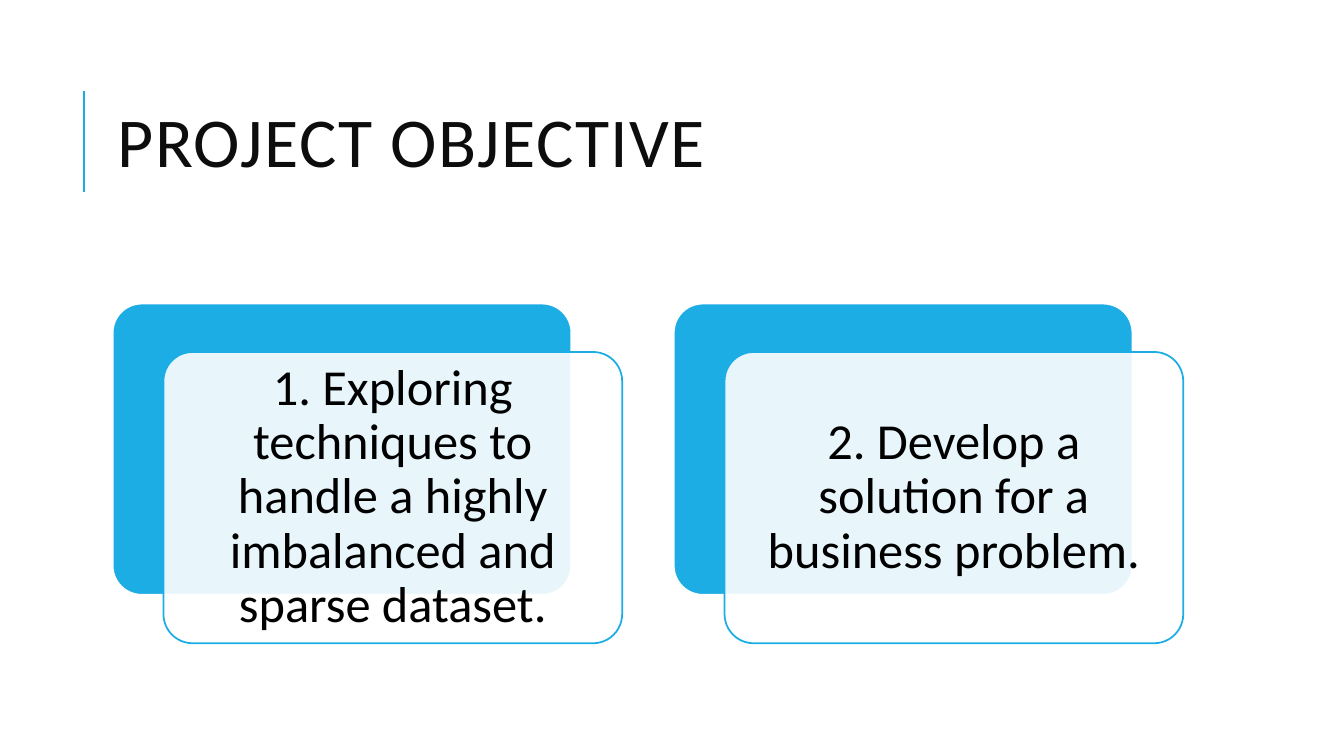
from lxml import etree
from pptx import Presentation
from pptx.dml.color import RGBColor
from pptx.enum.shapes import MSO_CONNECTOR as Connector, MSO_SHAPE as Shape
from pptx.enum.text import MSO_ANCHOR as Anchor, PP_ALIGN as Align
from pptx.oxml.ns import qn
from pptx.util import Cm, Pt

BLUE = RGBColor(0x1C, 0xAD, 0xE4)
WHITE = RGBColor(0xFF, 0xFF, 0xFF)
BLACK = RGBColor(0x00, 0x00, 0x00)
INK = RGBColor(0x0D, 0x0D, 0x0D)

OBJECTIVES = [
    "1. Exploring techniques to handle a highly imbalanced and sparse dataset.",
    "2. Develop a solution for a business problem.",
]
CARD_WIDTH, CARD_HEIGHT = 11.56, 7.34
SHIFT_RIGHT, SHIFT_DOWN = 1.28, 1.22
CARD_PITCH = 14.14


def apply_format(target, values):
    for name, value in values.items():
        setattr(target, name, value)


def write_text(shape, text, frame_format, para_format, font_format, color):
    frame = shape.text_frame
    apply_format(frame, {"word_wrap": True, "vertical_anchor": Anchor.MIDDLE, **frame_format})
    para = frame.paragraphs[0]
    apply_format(para, para_format)
    span = para.add_run()
    span.text = text
    apply_format(span.font, {"name": "Calibri", **font_format})
    span.font.color.rgb = color
    return span


def add_title(page, text, left, top, width, height):
    rule_left = Cm(left - 0.73)
    rule = page.shapes.add_connector(
        Connector.STRAIGHT, rule_left, Cm(top + 3.2), rule_left, Cm(top + 0.66))
    rule.line.color.rgb = BLUE
    rule.line.width = Pt(1.5)
    etree.SubElement(rule._element.spPr, qn("a:effectLst"))

    box = page.shapes.add_textbox(Cm(left), Cm(top), Cm(width), Cm(height))
    span = write_text(box, text, {"margin_left": Cm(0.13), "margin_right": Cm(0.13)},
                      {"line_spacing": 0.8}, {"size": Pt(50)}, INK)
    span.font._element.set("spc", "100")


def add_panel(page, left, top, fill, outline):
    panel = page.shapes.add_shape(
        Shape.ROUNDED_RECTANGLE, Cm(left), Cm(top), Cm(CARD_WIDTH), Cm(CARD_HEIGHT))
    panel.shadow.inherit = False
    panel.adjustments[0] = 0.1
    panel.fill.solid()
    panel.fill.fore_color.rgb = fill
    panel.line.color.rgb = outline
    panel.line.width = Pt(1.25)
    return panel


def add_card(page, text, left, top):
    add_panel(page, left, top, BLUE, WHITE)
    front = add_panel(page, left + SHIFT_RIGHT, top + SHIFT_DOWN, WHITE, BLUE)
    color = front._element.spPr.find(qn("a:solidFill"))[0]
    etree.SubElement(color, qn("a:alpha")).set("val", "90000")
    margins = {f"margin_{side}": Cm(0.38) for side in ("left", "top", "right", "bottom")}
    write_text(front, text, margins, {"alignment": Align.CENTER, "line_spacing": 0.9},
               {"size": Pt(36)}, BLACK)


def add_objectives(page, left, top):
    for index, text in enumerate(OBJECTIVES):
        add_card(page, text, left + index * CARD_PITCH, top)


def main():
    deck = Presentation()
    apply_format(deck, {"slide_width": Cm(33.87), "slide_height": Cm(19.05)})
    page = deck.slides.add_slide(deck.slide_layouts[6])
    add_title(page, "PROJECT OBJECTIVE", 2.84, 1.63, 27, 4.17)
    add_objectives(page, 2.84, 7.65)
    deck.save("out.pptx")


if __name__ == "__main__":
    main()
